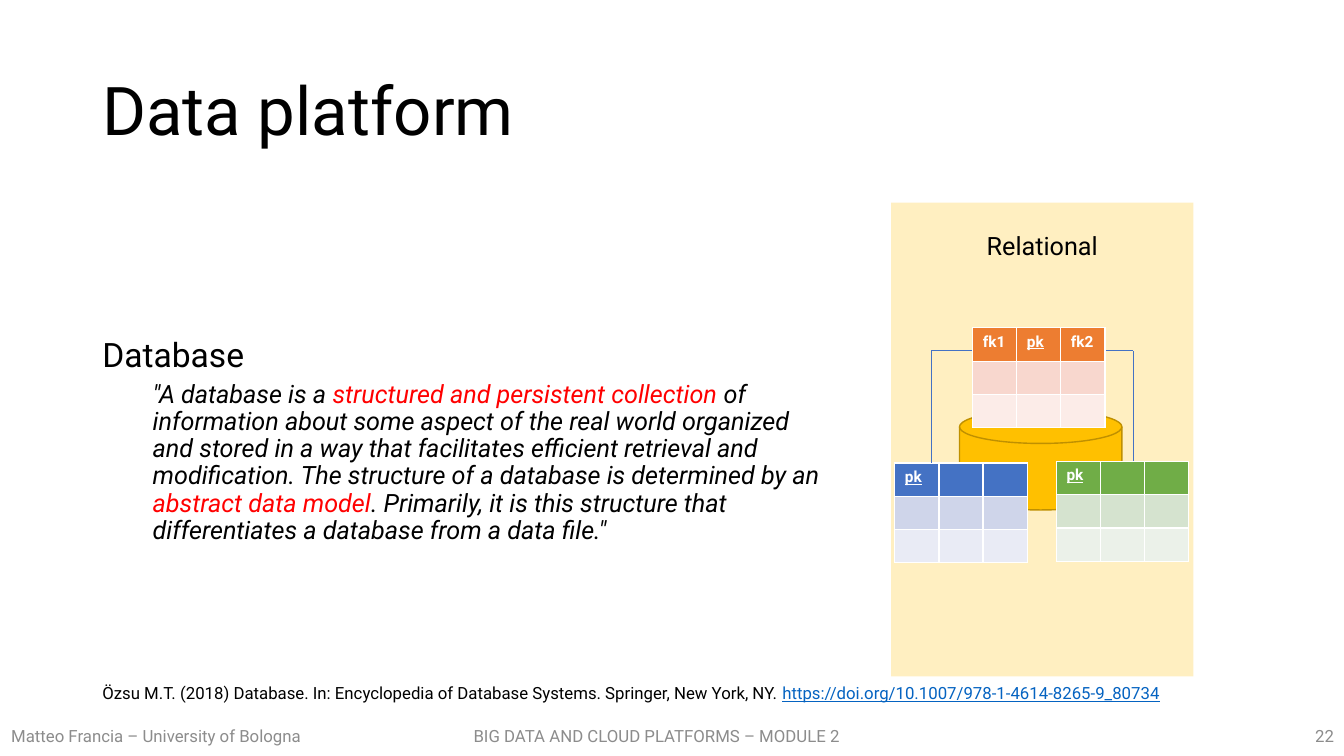
"""Build the slide on data platforms and the relational model."""
import dataclasses
import typing

import lxml.etree
import pptx
import pptx.dml.color
import pptx.enum.shapes
import pptx.enum.text
import pptx.oxml.ns
import pptx.util

Pt = pptx.util.Pt
Align = pptx.enum.text.PP_ALIGN
Anchor = pptx.enum.text.MSO_ANCHOR
Kind = pptx.enum.shapes.MSO_SHAPE
FONT = "Roboto"
COL, ROW = 31.5, 23.8
BLACK, GREY, RED, BLUE, WHITE = "000000", "8C8C8C", "FF0000", "0563C1", "FFFFFF"


@dataclasses.dataclass
class Span:
    text: str
    color: str = BLACK
    under: bool = False


@dataclasses.dataclass
class Para:
    spans: list[Span]
    size: float
    space: float = 0
    indent: float = 0
    italic: bool = False
    line: float = 0.9


@dataclasses.dataclass
class Block:
    box: tuple[float, float, float, float]
    paras: list[Para]
    align: Align = Align.LEFT


@dataclasses.dataclass
class Grid:
    left: float
    top: float
    heads: tuple[str, str, str]
    fills: tuple[str, str, str]


class Wire(typing.NamedTuple):
    x1: float
    y1: float
    x2: float
    y2: float


def paint(color: str) -> pptx.dml.color.RGBColor:
    """Turn a hex string into a colour."""
    return pptx.dml.color.RGBColor.from_string(color)


def add_tag(parent: typing.Any, name: str, **attrs: str) -> None:
    """Append a DrawingML element."""
    lxml.etree.SubElement(parent, pptx.oxml.ns.qn(name), **attrs)


def style(run: typing.Any, size: float, color: str) -> None:
    """Set the font, size and colour of a run."""
    run.font.name = FONT
    run.font.size = Pt(size)
    run.font.color.rgb = paint(color)


def add_block(slide: typing.Any, block: Block) -> None:
    """Draw a text box with its paragraphs."""
    frame = slide.shapes.add_textbox(*map(Pt, block.box)).text_frame
    frame.word_wrap = True
    frame.vertical_anchor = Anchor.MIDDLE
    for i, para in enumerate(block.paras):
        line = frame.add_paragraph() if i else frame.paragraphs[0]
        line.alignment = block.align
        line.line_spacing = para.line
        line.space_before = Pt(para.space)
        if para.indent:
            line._p.get_or_add_pPr().set("marL", str(Pt(para.indent)))
        for span in para.spans:
            run = line.add_run()
            run.text = span.text
            style(run, para.size, span.color)
            run.font.italic = para.italic
            if span.under:
                run.font.underline = True


def add_panel(slide: typing.Any) -> None:
    """Draw the pale panel with its heading."""
    panel = slide.shapes.add_shape(Kind.RECTANGLE, Pt(636.5), Pt(144.7), Pt(216), Pt(338.4))
    panel.shadow.inherit = False
    panel.line.fill.background()
    panel.fill.solid()
    panel.fill.fore_color.rgb = paint("FFD966")
    tint = panel._element.spPr.find(".//" + pptx.oxml.ns.qn("a:srgbClr"))
    add_tag(tint, "a:alpha", val="40000")
    frame = panel.text_frame
    frame.vertical_anchor = Anchor.TOP
    frame.margin_top = Pt(19.5)
    frame.text = "Relational"
    frame.paragraphs[0].alignment = Align.CENTER
    style(frame.paragraphs[0].runs[0], 18, BLACK)


def add_disk(slide: typing.Any) -> None:
    """Draw the database drum."""
    disk = slide.shapes.add_shape(
        Kind.FLOWCHART_MAGNETIC_DISK, Pt(685.4), Pt(293), Pt(116), Pt(71.3))
    disk.shadow.inherit = False
    disk.fill.solid()
    disk.fill.fore_color.rgb = paint("FFC000")
    disk.line.color.rgb = paint("BF9000")
    disk.line.width = Pt(1)


def add_grid(slide: typing.Any, grid: Grid) -> None:
    """Draw a small table with a header and two empty rows."""
    table = slide.shapes.add_table(
        3, 3, Pt(grid.left), Pt(grid.top), Pt(3 * COL), Pt(3 * ROW)).table
    for col in table.columns:
        col.width = Pt(COL)
    for r, fill in enumerate(grid.fills):
        table.rows[r].height = Pt(ROW)
        for c, head in enumerate(grid.heads):
            cell = table.cell(r, c)
            cell.fill.solid()
            cell.fill.fore_color.rgb = paint(fill)
            line = cell.text_frame.paragraphs[0]
            if r == 0 and head:
                line.text = head
                run = line.runs[0]
                style(run, 11, WHITE)
                run.font.bold = True
                run.font.underline = head == "pk"
            else:
                add_tag(line._p, "a:endParaRPr", sz="1100")


def add_wire(slide: typing.Any, wire: Wire) -> None:
    """Draw a thin straight line between tables."""
    line = slide.shapes.add_connector(
        pptx.enum.shapes.MSO_CONNECTOR.STRAIGHT, *map(Pt, wire))
    line.line.color.rgb = paint("4472C4")
    line.line.width = Pt(0.5)
    add_tag(line._element.spPr, "a:effectLst")


def note(text: str, color: str = GREY) -> Para:
    """Make a footer line."""
    return Para([Span(text, color)], 12, line=1)


BLOCKS = [
    Block((331.2, 511.2, 297.4, 28.8), [note("BIG DATA AND CLOUD PLATFORMS – MODULE 2")]),
    Block((66, 28.8, 828, 104.4), [Para([Span("Data platform")], 48)]),
    Block((66, 144, 529.2, 342.7), [
        Para([Span("Database")], 24),
        Para([
            Span('"A database is a '),
            Span("structured and persistent collection", RED),
            Span(" of information about some aspect of the real world organized and "
                 "stored in a way that facilitates efficient retrieval and modification. "
                 "The structure of a database is determined by an "),
            Span("abstract data model", RED),
            Span(". Primarily, it is this structure that differentiates a database "
                 'from a data file."'),
        ], 18, 5, 36, True),
    ]),
    Block((0, 511.2, 223.2, 28.8), [note("Matteo Francia – University of Bologna")],
          Align.CENTER),
    Block((744, 511.2, 216, 28.8), [note("22")], Align.RIGHT),
    Block((66, 481.7, 828, 28.8), [Para([
        Span("Özsu M.T. (2018) Database. In: Encyclopedia of Database Systems. "
             "Springer, New York, NY. "),
        Span("https://doi.org/10.1007/978-1-4614-8265-9_80734", BLUE, True),
    ], 12)]),
]
SIDES = [
    Grid(639.2, 330.7, ("pk", "", ""), ("4472C4", "CFD5EA", "E9EBF5")),
    Grid(754.6, 329.6, ("pk", "", ""), ("70AD47", "D5E3CF", "EBF1E9")),
]
HUB = Grid(694.8, 234.2, ("fk1", "pk", "fk2"), ("ED7D31", "F8D7CE", "FCECE8"))
WIRES = [
    Wire(665.3, 250.6, 665.3, 330.7),
    Wire(809.3, 250.6, 809.3, 329.6),
    Wire(809.3, 250.6, 753.8, 250.6),
    Wire(733.7, 250.6, 665.3, 250.6),
]


def main() -> None:
    """Build and save the deck."""
    deck = pptx.Presentation()
    deck.slide_width, deck.slide_height = Pt(960), Pt(540)
    slide = deck.slides.add_slide(deck.slide_layouts[6])
    for block in BLOCKS:
        add_block(slide, block)
    add_panel(slide)
    add_disk(slide)
    for grid in SIDES:
        add_grid(slide, grid)
    for wire in WIRES:
        add_wire(slide, wire)
    add_grid(slide, HUB)
    deck.save("out.pptx")


if __name__ == "__main__":
    main()
